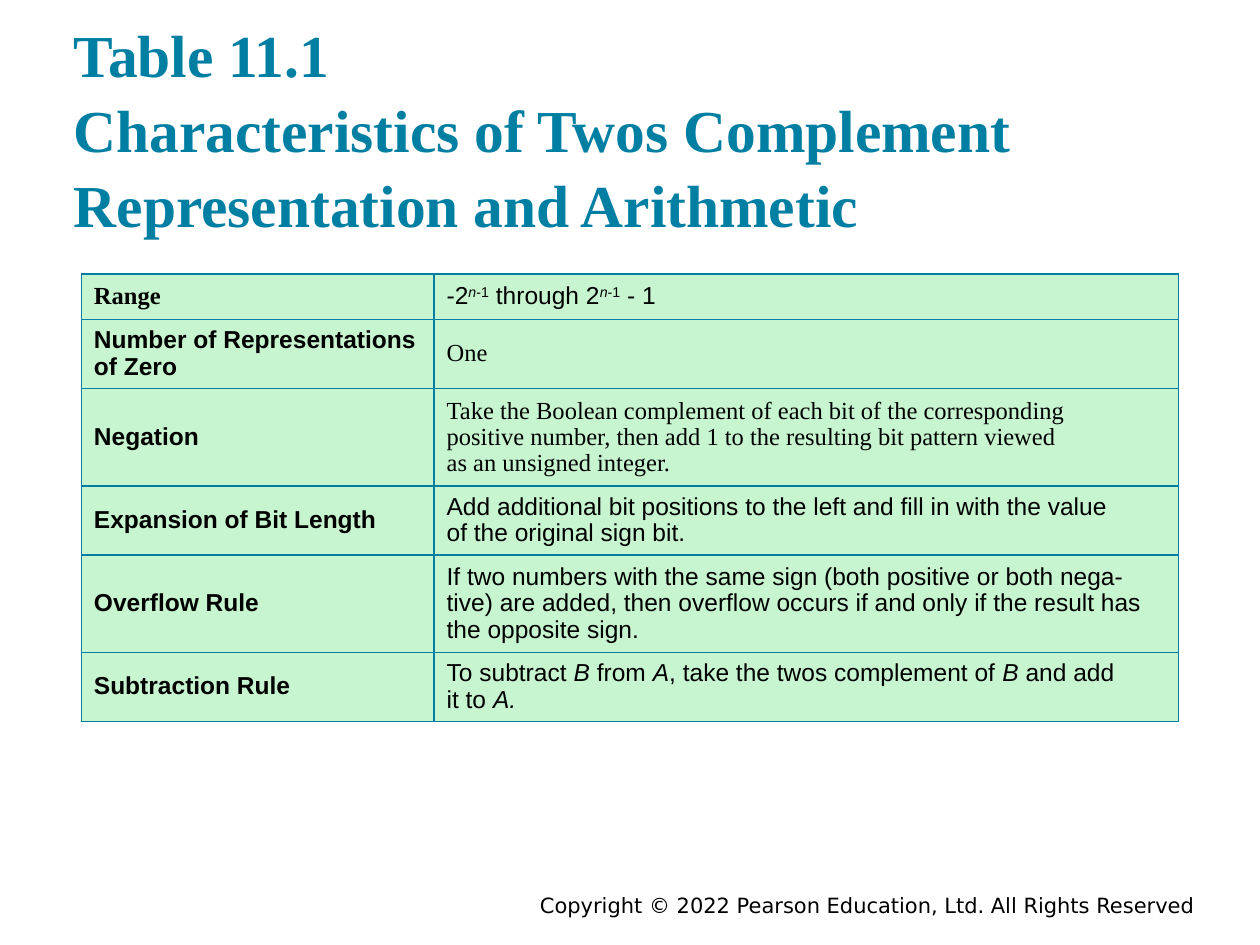
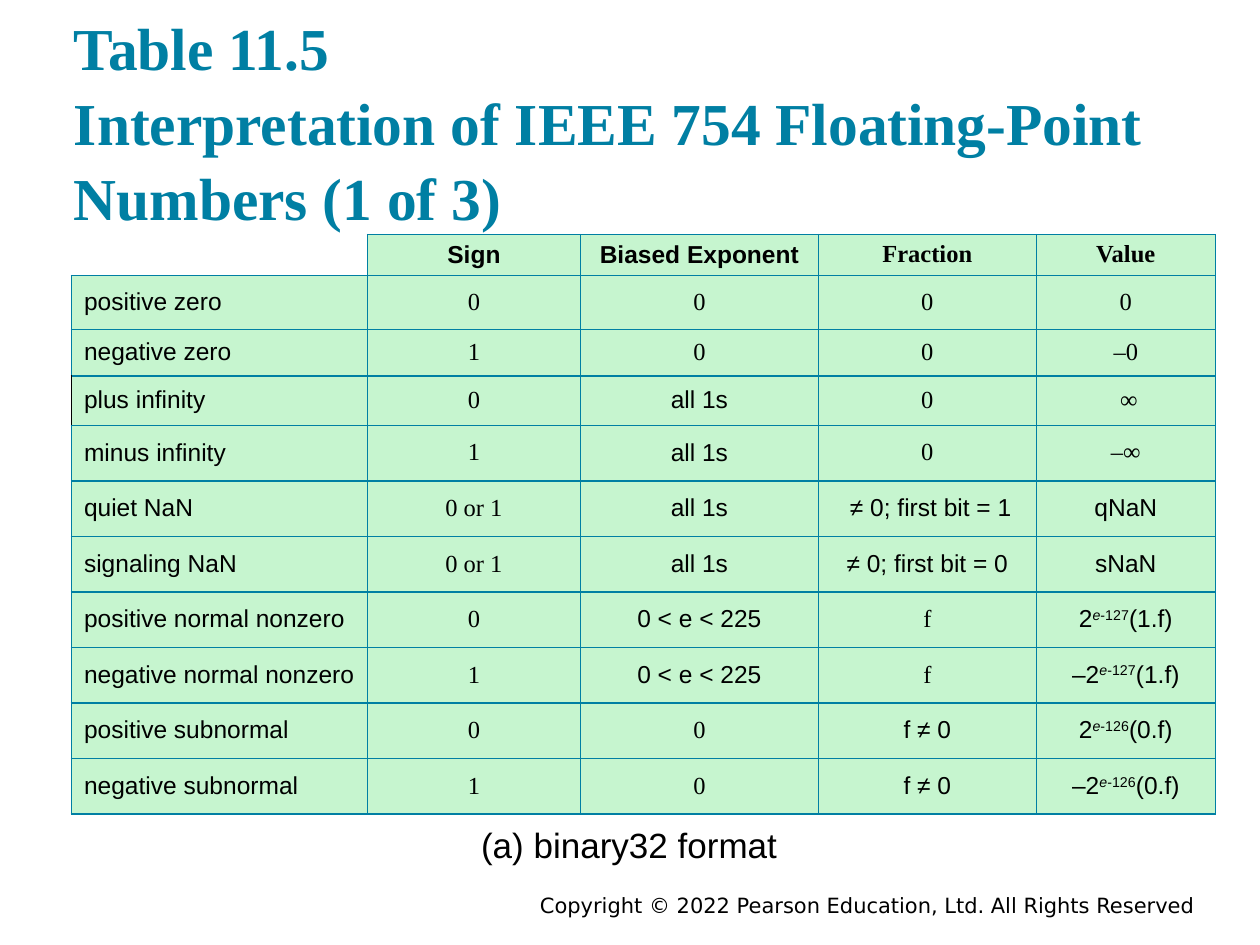
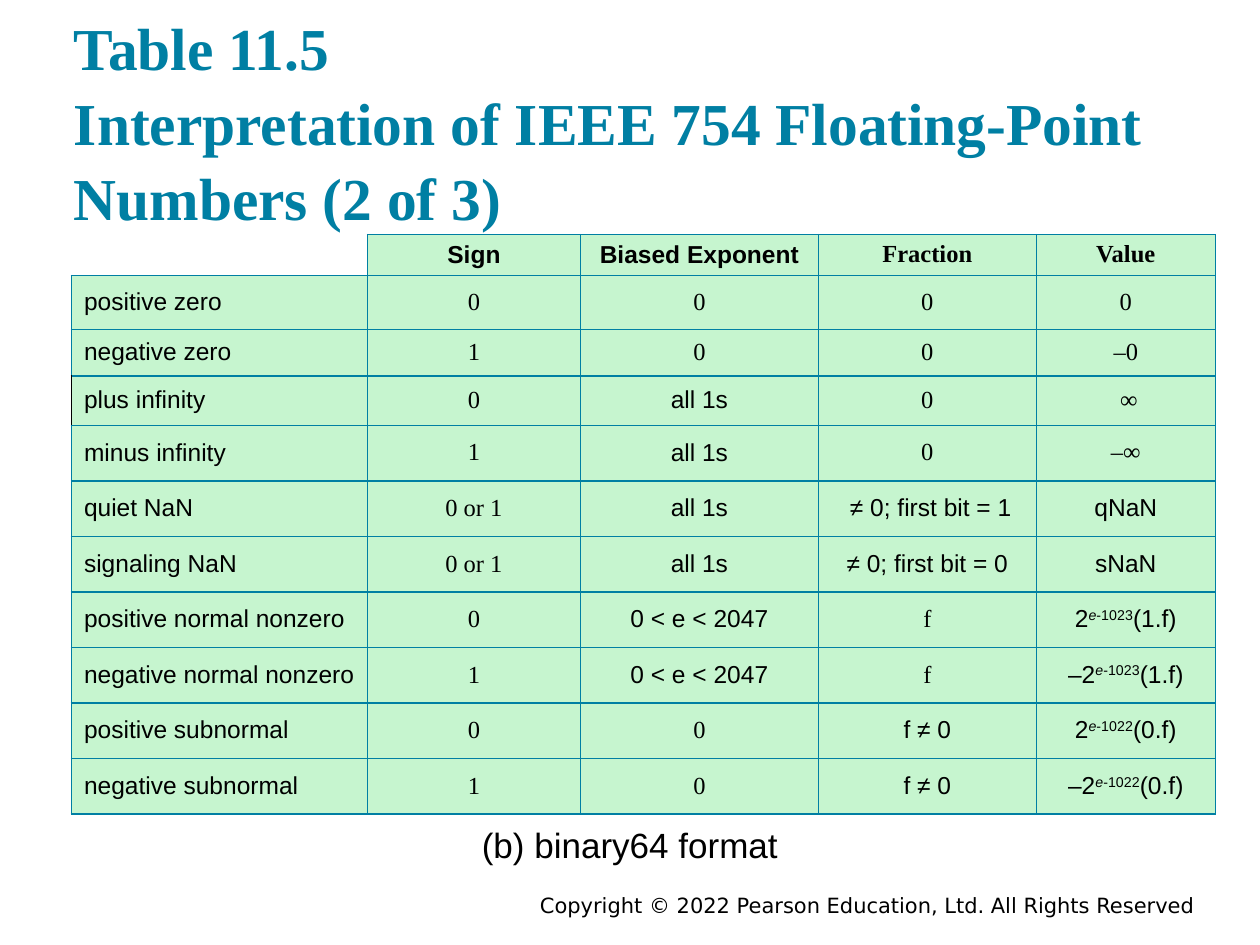
"""Builds three slides of tables on twos complement and floating-point numbers."""
from lxml.etree import SubElement
from pptx import Presentation
from pptx.dml.color import RGBColor
from pptx.enum.text import MSO_ANCHOR as Anchor, PP_ALIGN as Align
from pptx.oxml.ns import qn
from pptx.util import Cm, Pt

TEAL = RGBColor(0x00, 0x7F, 0xA3)
MINT = RGBColor(0xC6, 0xF5, 0xCF)
BLACK = RGBColor(0x00, 0x00, 0x00)
SANS, SERIF = "Arial", "Times New Roman"
NOTICE = "Copyright © 2022 Pearson Education, Ltd. All Rights Reserved"


def write(par, line, face, size, color=BLACK, bold=False, align=Align.LEFT):
    """Add runs split at |, where a leading ^ raises and * slants."""
    par.alignment = align
    for part in line.split("|"):
        text = part.lstrip("^*")
        marks = part[:len(part) - len(text)]
        run = par.add_run()
        run.text = text
        font = run.font
        font.name, font.size, font.bold = face, Pt(size), bold
        font.italic = "*" in marks
        font.color.rgb = color
        if "^" in marks:
            run._r.get_or_add_rPr().set("baseline", "30000")


def edge(cell, colors):
    """Draw the left, right, top and bottom borders; None leaves one out."""
    props = cell._tc.get_or_add_tcPr()
    for side, color in zip("LRTB", colors):
        line = SubElement(props, qn(f"a:ln{side}"), w=str(Pt(1)))
        if color is None:
            SubElement(line, qn("a:noFill"))
        else:
            fill = SubElement(line, qn("a:solidFill"))
            SubElement(fill, qn("a:srgbClr"), val=str(color))


RULES = [
    ["Range", "-2|^*n|^-1| through 2|^*n|^-1| - 1"],
    ["Number of Representations\nof Zero", "One"],
    ["Negation",
     "Take the Boolean complement of each bit of the corresponding\n"
     "positive number, then add 1 to the resulting bit pattern viewed\n"
     "as an unsigned integer."],
    ["Expansion of Bit Length",
     "Add additional bit positions to the left and fill in with the value\n"
     "of the original sign bit."],
    ["Overflow Rule",
     "If two numbers with the same sign (both positive or both nega-\n"
     "tive) are added, then overflow occurs if and only if the result has\n"
     "the opposite sign."],
    ["Subtraction Rule",
     "To subtract |*B |from |*A|, take the twos complement of |*B |and add\n"
     "it to |*A."],
]
ROMAN = {"Range", "One", RULES[2][1], "Fraction", "Value",
         "0", "1", "0 or 1", "f", "–0", " ∞", "–∞"}

pages = [{
    "title": ["Table 11.1",
              "Characteristics of Twos Complement Representation and Arithmetic"],
    "top": 0.53, "rows": RULES, "at": (1.64, 5.52), "cols": [7.11, 15.01],
    "highs": [0.92, 1.36, 1.89, 1.37, 1.92, 1.37], "note": None,
}]
formats = [
    (1, "(a) binary32 format", 225, 127, 126, (1.42, 16.47, 22.53)),
    (2, "(b) binary64 format", 2047, 1023, 1022, (0, 16.48, 25.4)),
]
for count, label, limit, bias, low, place in formats:
    span = f"0 < e < {limit}"
    norm, sub = f"2|^*e|^-{bias}|(1.f)", f"2|^*e|^-{low}|(0.f)"
    pages.append({
        "title": ["Table 11.5",
                  f"Interpretation of IEEE 754 Floating-Point Numbers ({count} of 3)"],
        "top": 0.38, "at": (1.44, 4.73), "cols": [5.97, 4.29, 4.8, 4.39, 3.61],
        "highs": [0.81, 1.09, 0.94, 0.99] + [1.12] * 7,
        "note": (label, place),
        "rows": [
            ["", "Sign", "Biased Exponent", "Fraction", "Value"],
            ["positive zero", "0", "0", "0", "0"],
            ["negative zero", "1", "0", "0", "–0"],
            ["plus infinity", "0", "all 1s", "0", " ∞"],
            ["minus infinity", "1", "all 1s", "0", "–∞"],
            ["quiet NaN", "0 or 1", "all 1s", " ≠ 0; first bit = 1", "qNaN"],
            ["signaling NaN", "0 or 1", "all 1s", "≠ 0; first bit = 0", "sNaN"],
            ["positive normal nonzero", "0", span, "f", norm],
            ["negative normal nonzero", "1", span, "f", "–" + norm],
            ["positive subnormal", "0", "0", "f ≠ 0", sub],
            ["negative subnormal", "1", "0", "f ≠ 0", "–" + sub],
        ],
    })

deck = Presentation()
deck.slide_width, deck.slide_height = Cm(25.4), Cm(19.05)

for page in pages:
    shapes = deck.slides.add_slide(deck.slide_layouts[6]).shapes

    foot = shapes.add_textbox(Cm(4.45), Cm(17.86), Cm(19.89), Cm(0.56)).text_frame
    foot.word_wrap = True
    write(foot.paragraphs[0], NOTICE, "DejaVu Sans", 12, align=Align.RIGHT)

    head = shapes.add_textbox(Cm(1.24), Cm(page["top"]), Cm(22.86), Cm(4.55)).text_frame
    head.word_wrap = True
    head.vertical_anchor = Anchor.BOTTOM
    head.margin_top = head.margin_bottom = Cm(0.25)
    par = head.paragraphs[0]
    par.line_spacing = 1.05
    first, second = page["title"]
    write(par, first, SERIF, 34, TEAL, True)
    par.add_line_break()
    write(par, second, SERIF, 34, TEAL, True)

    rows, cols, highs = page["rows"], page["cols"], page["highs"]
    left, top = page["at"]
    table = shapes.add_table(len(rows), len(cols), Cm(left), Cm(top),
                             Cm(sum(cols)), Cm(sum(highs))).table
    table.first_row = table.horz_banding = False
    for col, width in zip(table.columns, cols):
        col.width = Cm(width)
    for row, high in zip(table.rows, highs):
        row.height = Cm(high)

    wide = len(cols) > 2
    for r, row in enumerate(rows):
        for c, text in enumerate(row):
            cell = table.cell(r, c)
            if not text:
                edge(cell, [None, TEAL, None, TEAL])
                cell.fill.background()
                cell.margin_top = cell.margin_bottom = 0
                continue
            side = BLACK if text == "plus infinity" else TEAL
            edge(cell, [side, TEAL, TEAL, TEAL])
            cell.fill.solid()
            cell.fill.fore_color.rgb = MINT
            cell.vertical_anchor = Anchor.MIDDLE
            face = SERIF if text in ROMAN else SANS
            bold = r == 0 if wide else c == 0
            align = Align.CENTER if wide and c else Align.LEFT
            frame = cell.text_frame
            for n, line in enumerate(text.split("\n")):
                par = frame.add_paragraph() if n else frame.paragraphs[0]
                par.line_spacing = 0.96
                write(par, line, face, 14, bold=bold, align=align)

    if page["note"]:
        label, (left, top, width) = page["note"]
        note = shapes.add_textbox(Cm(left), Cm(top), Cm(width), Cm(1.12)).text_frame
        note.word_wrap = True
        write(note.paragraphs[0], label, SANS, 20, align=Align.CENTER)

deck.save("out.pptx")
